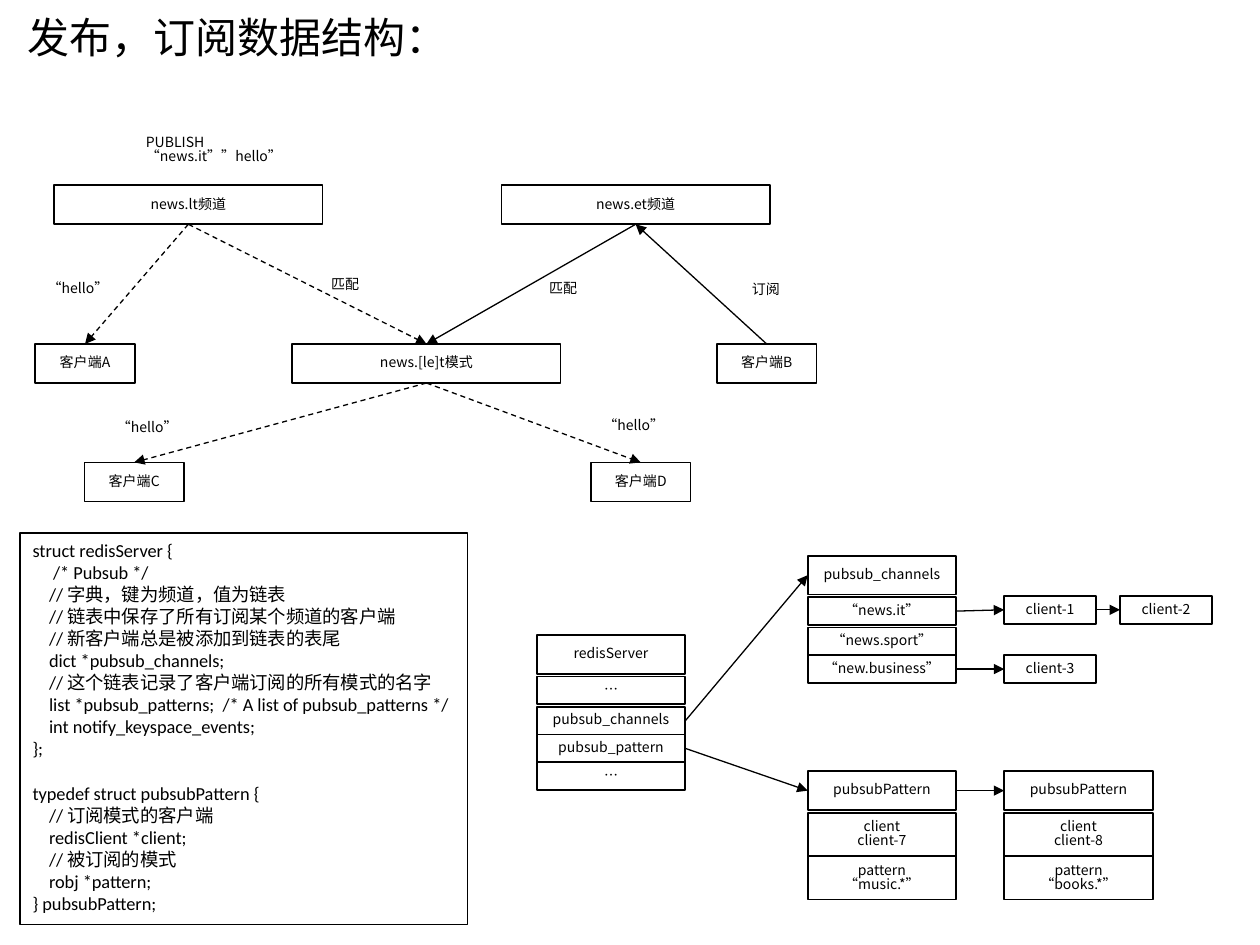
from lxml import etree
from pptx import Presentation
from pptx import util as u
from pptx.dml.color import RGBColor
from pptx.enum import dml, shapes, text
from pptx.oxml.ns import qn

COLORS = {"ink": "000000", "paper": "FFFFFF"}
CJK = "Noto Sans CJK SC"
CODE_FONT = "Calibri"
TOP, LEFT, BOTTOM, RIGHT = range(4)  # connection sites of a rectangle

deck = Presentation()
deck.slide_width, deck.slide_height = u.Inches(10), u.Inches(7.5)
page = deck.slides.add_slide(deck.slide_layouts[6])
CELL = deck.slide_width / 100  # grid of 100 columns and 75 rows
ink = RGBColor.from_string(COLORS["ink"])


def add_box(words, col, row, cols, rows, size=8, font=CJK, line=1.0, centred=True):
    """Add text on the grid, framed when a line width is given."""
    place = [int(CELL * n) for n in (col, row, cols, rows)]
    if line:
        box = page.shapes.add_shape(shapes.MSO_SHAPE.RECTANGLE, *place)
        box.shadow.inherit = False
        box.fill.solid()
        box.fill.fore_color.rgb = RGBColor.from_string(COLORS["paper"])
        box.line.color.rgb = ink
        box.line.width = u.Pt(line)
    else:
        box = page.shapes.add_textbox(*place)
    frame = box.text_frame
    frame.word_wrap = True
    frame.vertical_anchor = text.MSO_ANCHOR.MIDDLE if centred else text.MSO_ANCHOR.TOP
    frame.text = words
    for para in frame.paragraphs:
        para.alignment = text.PP_ALIGN.CENTER if centred else text.PP_ALIGN.LEFT
        para.font.size = u.Pt(size)
        para.font.name = font
        para.font.color.rgb = ink
        if font == CJK:
            para.line_spacing = 0.85
            for span in para.runs:
                east_asian = etree.SubElement(span._r.get_or_add_rPr(), qn("a:ea"))
                east_asian.set("typeface", CJK)
    return box


def connect(start, start_site, end, end_site, dashed=False):
    """Draw an arrow between connection sites of two boxes."""
    arrow = page.shapes.add_connector(shapes.MSO_CONNECTOR.STRAIGHT, 0, 0, 0, 0)
    arrow.begin_connect(start, start_site)
    arrow.end_connect(end, end_site)
    arrow.line.color.rgb = ink
    arrow.line.width = u.Pt(0.75)
    if dashed:
        arrow.line.dash_style = dml.MSO_LINE.DASH
    etree.SubElement(arrow.line._get_or_add_ln(), qn("a:tailEnd")).set("type", "triangle")
    etree.SubElement(arrow._element.spPr, qn("a:effectLst"))


# Title
add_box("发布，订阅数据结构：", 1.2, 1, 91.3, 5, size=24, line=0, centred=False)

# Channels, pattern and clients
WIDE, NARROW, TALL = 21.3, 7.9, 3.1
nodes = {}
for name, col, row, cols in [
    ("news.lt频道", 4.3, 14.7, WIDE),
    ("news.et频道", 39.8, 14.7, WIDE),
    ("客户端A", 2.8, 27.3, NARROW),
    ("news.[le]t模式", 23.2, 27.3, WIDE),
    ("客户端B", 56.9, 27.3, NARROW),
    ("客户端C", 6.7, 36.7, NARROW),
    ("客户端D", 46.9, 36.7, NARROW),
]:
    nodes[name] = add_box(name, col, row, cols, TALL)

# Message flow
for start, end, dashed in [
    ("news.lt频道", "客户端A", True),
    ("news.lt频道", "news.[le]t模式", True),
    ("news.[le]t模式", "客户端C", True),
    ("news.[le]t模式", "客户端D", True),
    ("news.et频道", "news.[le]t模式", False),
]:
    connect(nodes[start], BOTTOM, nodes[end], TOP, dashed)
connect(nodes["客户端B"], TOP, nodes["news.et频道"], BOTTOM)

# Flow labels
for words, col, row in [
    ("PUBLISH “news.it””hello”", 10.6, 10.3),
    ("“hello”", 2.8, 21.9),
    ("“hello”", 8.3, 32.9),
    ("“hello”", 46.9, 32.8),
    ("匹配", 25.3, 21.6),
    ("匹配", 42.6, 21.9),
    ("订阅", 58.7, 22),
]:
    add_box(words, col, row, 17.3, 2.4, line=0, centred=False)

# Source code
server_code = """struct redisServer {
     /* Pubsub */
    // 字典，键为频道，值为链表
    // 链表中保存了所有订阅某个频道的客户端
    // 新客户端总是被添加到链表的表尾
    dict *pubsub_channels;
    // 这个链表记录了客户端订阅的所有模式的名字
    list *pubsub_patterns;  /* A list of pubsub_patterns */
    int notify_keyspace_events;
};"""
pattern_code = """typedef struct pubsubPattern {
    // 订阅模式的客户端
    redisClient *client;
    // 被订阅的模式
    robj *pattern;
} pubsubPattern;"""
listing = add_box(server_code + "\n" + pattern_code, 1.6, 42.3, 35.5, 31.1,
                  size=10.5, font=CODE_FONT, line=0.75, centred=False)
pattern_start = len(server_code.splitlines())
listing.text_frame.paragraphs[pattern_start].space_before = u.Pt(12.8)

# Structures: a header, a small gap, then fields stacked below
ROW, PAIR, STRUCT = 2.2, 3.45, 11.8
stacks = []
for col, row, header, fields, step in [
    (42.6, 50.4, "redisServer", ["…", "pubsub_channels", "pubsub_pattern", "…"], ROW),
    (64.1, 44.1, "pubsub_channels", ["“news.it”", "“news.sport”", "“new.business”"], ROW),
    (64.1, 61.2, "pubsubPattern", ["client\nclient-7", "pattern\n“music.*”"], PAIR),
    (79.7, 61.2, "pubsubPattern", ["client\nclient-8", "pattern\n“books.*”"], PAIR),
]:
    stack = [add_box(header, col, row, STRUCT, TALL)]
    for i, field in enumerate(fields):
        gap = 0.2 if step == ROW and i else 0  # the first short field stands apart
        stack.append(add_box(field, col, row + 3.3 + gap + i * step, STRUCT, step))
    stacks.append(stack)
server, channels, music, books = stacks

# Subscribed clients
client_1, client_2, client_3 = [
    add_box(f"client-{number}", col, row, 7.3, ROW)
    for number, col, row in [(1, 79.7, 47.3), (2, 88.9, 47.3), (3, 79.7, 52)]
]

# Links from field to structure
for start, end in [
    (channels[1], client_1),
    (client_1, client_2),
    (channels[3], client_3),
    (music[0], books[0]),
    (server[2], channels[0]),
    (server[3], music[0]),
]:
    connect(start, RIGHT, end, LEFT)

deck.save("out.pptx")
